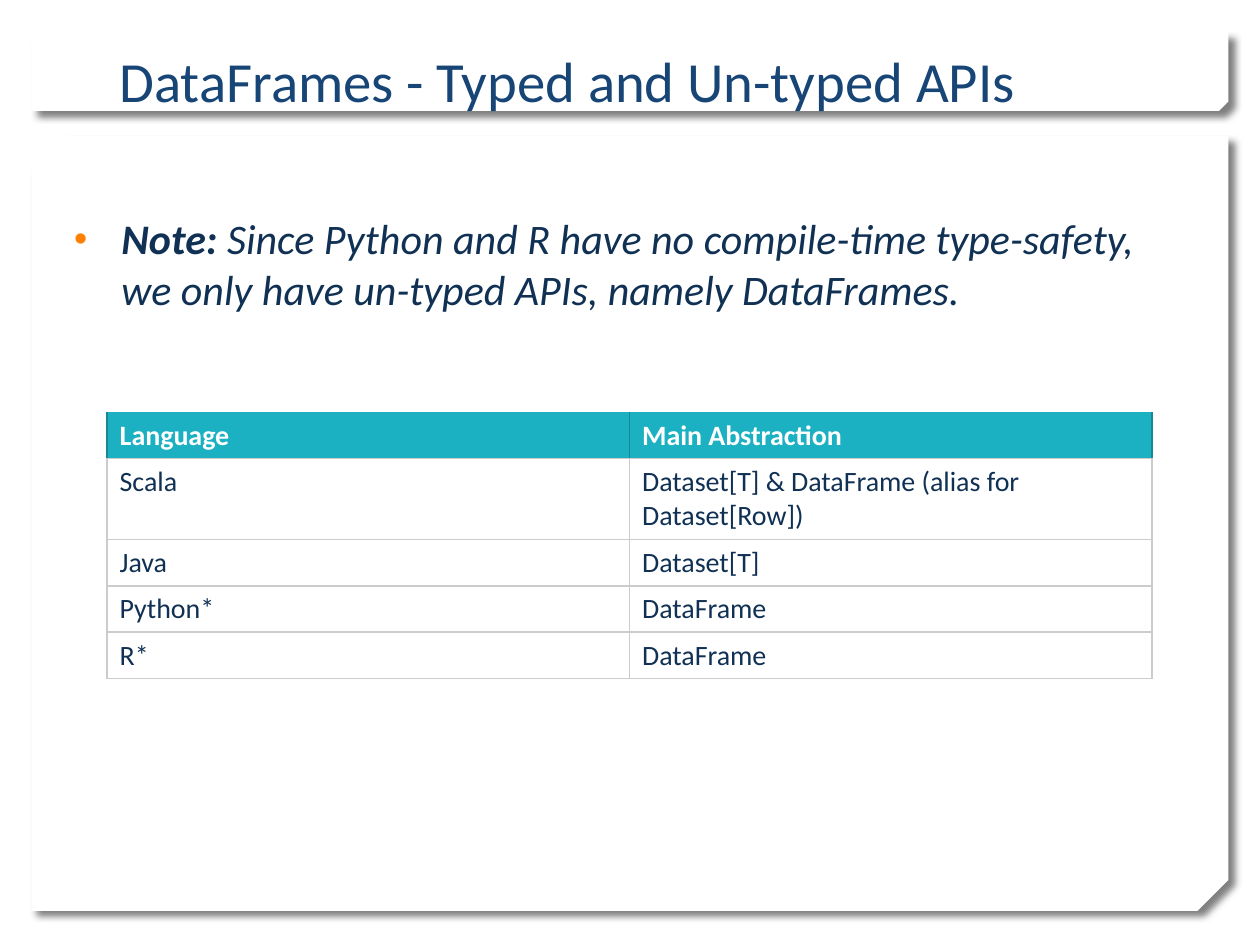
from lxml import etree
from pptx import Presentation
from pptx import util as u
from pptx.dml.color import RGBColor
from pptx.enum import shapes, text
from pptx.oxml.ns import qn

# Content
TITLE = "DataFrames - Typed and Un-typed APIs"
NOTE = [  # (text, bold)
    ("Note:", True),
    ("\u00a0Since Python and R have no compile-time type-safety, "
     "we only have un-typed APIs, namely\u00a0DataFrames.", False),
]
ROWS = [
    ("Language", "Main Abstraction"),
    ("Scala", "Dataset[T] & DataFrame (alias for Dataset[Row])"),
    ("Java", "Dataset[T]"),
    ("Python*", "DataFrame"),
    ("R*", "DataFrame"),
]

THEME = {
    "font": "Calibri", "title_size": 32.4, "note_size": 24, "table_size": 16,
    "title": "174576", "body": "103154", "bullet": "FF7F01", "panel": "FFFFFF",
    "header": "1CB1C2", "header_text": "FFFFFF", "header_edge": "168895",
    "grid": "CCCCCC", "shadow": "000000",
}

# Layout in points: left, top, width, height
PANELS = [((18, 77.76, 684, 442.8), 0.04), ((18, 18, 684, 45.36), 0.117)]
TITLE_BOX = (61.2, 23.04, 623.52, 45.36)
NOTE_BOX = (35.28, 118.08, 650.16, 65.52)
TABLE_LEFT, TABLE_TOP, COLUMN_WIDTH = 61.2, 235.6, 298.6
ROW_HEIGHT, TALL_ROW_HEIGHT, TALL_ROW = 26.3, 46.4, 1
NOTE_INDENT = 27


def points(values):
    return [u.Pt(value) for value in values]


def add_element(parent, tag, **attributes):
    return etree.SubElement(parent, qn(tag), attributes)


def add_run(paragraph, words, size, color, bold=False, italic=False):
    run = paragraph.add_run()
    run.text = words
    font = run.font
    font.name, font.size = THEME["font"], u.Pt(size)
    font.bold, font.italic = bold, italic
    font.color.rgb = RGBColor.from_string(color)


def add_panel(slide, box, snip):
    shape = slide.shapes.add_shape(
        shapes.MSO_SHAPE.SNIP_2_DIAG_RECTANGLE, *points(box))
    shape.adjustments[0], shape.adjustments[1] = 0, snip
    shape.fill.solid()
    shape.fill.fore_color.rgb = RGBColor.from_string(THEME["panel"])
    shape.line.fill.background()
    shape.shadow.inherit = False
    properties = shape.element.spPr
    properties.find(qn("a:xfrm")).set("flipV", "1")
    shadow = add_element(
        properties.find(qn("a:effectLst")), "a:outerShdw",
        blurRad=str(u.Pt(4)), dist=str(u.Pt(5)), dir=str(45 * 60000),
        algn="tl", rotWithShape="0")
    color = add_element(shadow, "a:srgbClr", val=THEME["shadow"])
    add_element(color, "a:alpha", val="50000")


def add_text_frame(slide, box):
    frame = slide.shapes.add_textbox(*points(box)).text_frame
    frame.word_wrap = True
    return frame


def add_bullet(paragraph):
    properties = paragraph._p.get_or_add_pPr()
    properties.set("marL", str(u.Pt(NOTE_INDENT)))
    properties.set("indent", str(-u.Pt(NOTE_INDENT)))
    color = add_element(properties, "a:buClr")
    add_element(color, "a:srgbClr", val=THEME["bullet"])
    add_element(properties, "a:buSzPct", val="90000")
    add_element(properties, "a:buFont", typeface="Arial")
    add_element(properties, "a:buChar", char="•")


def set_borders(cell, is_header):
    side = THEME["header_edge"] if is_header else THEME["grid"]
    edges = {"L": side, "R": side, "T": None if is_header else THEME["grid"],
             "B": THEME["grid"]}
    properties = cell._tc.get_or_add_tcPr()
    for position, (edge, color) in enumerate(edges.items()):
        line = etree.Element(qn("a:ln" + edge), w=str(u.Pt(1)))
        properties.insert(position, line)
        if color:
            fill = add_element(line, "a:solidFill")
            add_element(fill, "a:srgbClr", val=color)
        else:
            add_element(line, "a:noFill")


def add_language_table(slide):
    heights = [TALL_ROW_HEIGHT if index == TALL_ROW else ROW_HEIGHT
               for index in range(len(ROWS))]
    columns = len(ROWS[0])
    table = slide.shapes.add_table(
        len(ROWS), columns,
        *points((TABLE_LEFT, TABLE_TOP, COLUMN_WIDTH * columns, sum(heights)))).table
    table.horz_banding = False
    for column in table.columns:
        column.width = u.Pt(COLUMN_WIDTH)
    for row_index, (row, height) in enumerate(zip(ROWS, heights)):
        table.rows[row_index].height = u.Pt(height)
        is_header = row_index == 0
        for column_index, words in enumerate(row):
            cell = table.cell(row_index, column_index)
            cell.fill.solid()
            cell.fill.fore_color.rgb = RGBColor.from_string(
                THEME["header" if is_header else "panel"])
            cell.vertical_anchor = (text.MSO_ANCHOR.BOTTOM if is_header
                                    else text.MSO_ANCHOR.TOP)
            add_run(cell.text_frame.paragraphs[0], words, THEME["table_size"],
                    THEME["header_text" if is_header else "body"], bold=is_header)
            set_borders(cell, is_header)


def main():
    presentation = Presentation()
    presentation.slide_width, presentation.slide_height = points((720, 540))
    slide = presentation.slides.add_slide(presentation.slide_layouts[6])

    # Background panels
    for box, snip in PANELS:
        add_panel(slide, box, snip)

    # Title
    frame = add_text_frame(slide, TITLE_BOX)
    frame.vertical_anchor = text.MSO_ANCHOR.BOTTOM
    add_run(frame.paragraphs[0], TITLE, THEME["title_size"], THEME["title"])

    # Note
    frame = add_text_frame(slide, NOTE_BOX)
    frame.auto_size = text.MSO_AUTO_SIZE.SHAPE_TO_FIT_TEXT
    paragraph = frame.paragraphs[0]
    paragraph.space_before = u.Pt(20)
    add_bullet(paragraph)
    for words, bold in NOTE:
        add_run(paragraph, words, THEME["note_size"], THEME["body"], bold, italic=True)

    # Table of languages
    add_language_table(slide)
    presentation.save("out.pptx")


if __name__ == "__main__":
    main()
